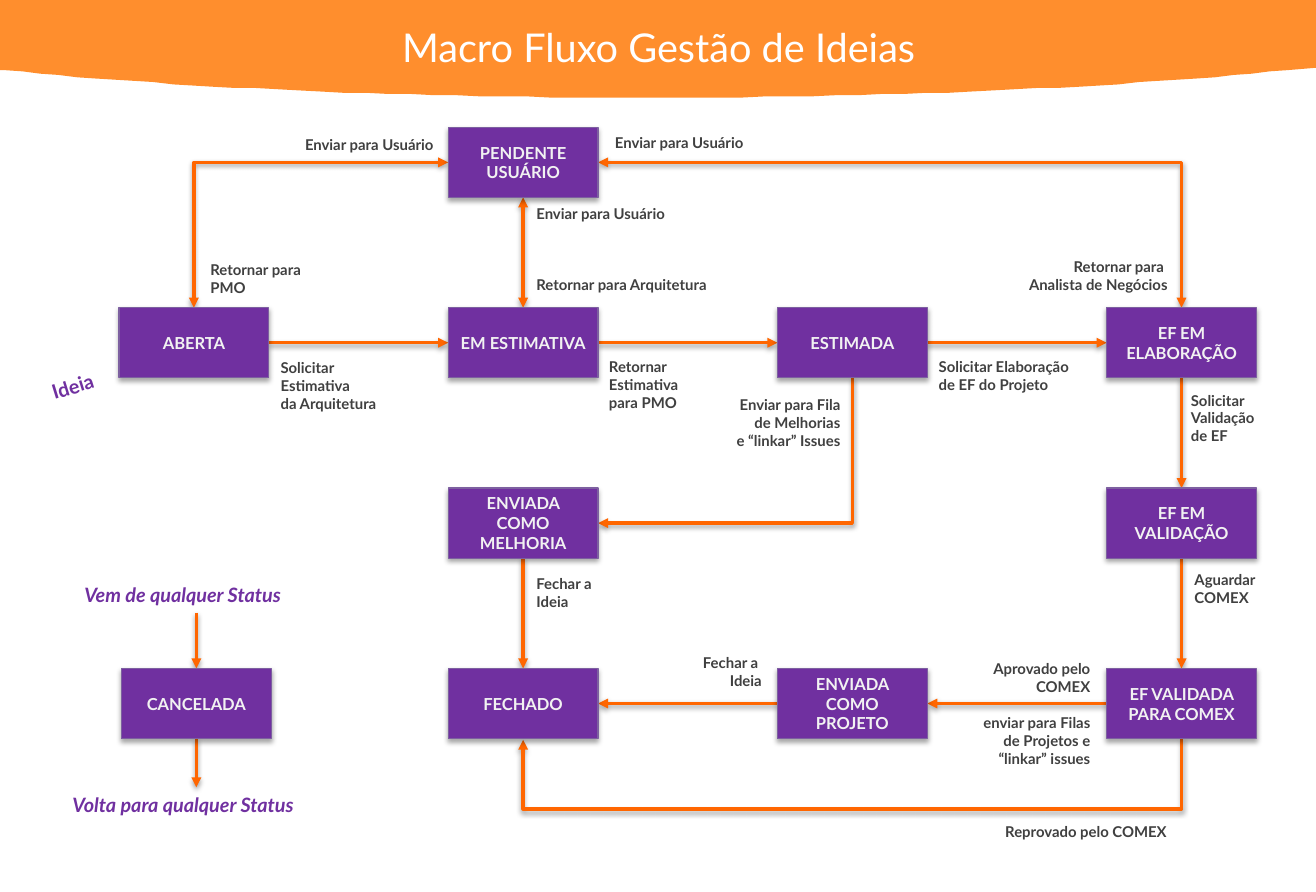
from lxml.etree import SubElement
from pptx import Presentation
from pptx.dml.color import RGBColor
from pptx.enum.shapes import MSO_CONNECTOR, MSO_SHAPE
from pptx.enum.text import MSO_ANCHOR, PP_ALIGN
from pptx.oxml.ns import qn
from pptx.util import Pt

PX = 9144
HUES = {"banner": "FF8E2D", "arrow": "FF6600", "node": "7030A0", "edge": "7D60A0",
        "pale": "F2F2F2", "label": "404040", "white": "FFFFFF", "black": "000000"}
LEFT, MID, RIGHT = PP_ALIGN.LEFT, PP_ALIGN.CENTER, PP_ALIGN.RIGHT
NODE_W, NODE_H = 126, 59

NODES = {
    "PENDENTE USUÁRIO": (1, 0), "ABERTA": (0, 1), "EM ESTIMATIVA": (1, 1),
    "ESTIMADA": (2, 1), "EF EM ELABORAÇÃO": (3, 1), "ENVIADA COMO MELHORIA": (1, 2),
    "EF EM VALIDAÇÃO": (3, 2), "FECHADO": (1, 3), "ENVIADA COMO PROJETO": (2, 3),
    "EF VALIDADA PARA COMEX": (3, 3),
}
LINKS = [
    ("ABERTA", "right", "EM ESTIMATIVA", "left", "tail"),
    ("EM ESTIMATIVA", "right", "ESTIMADA", "left", "tail"),
    ("ESTIMADA", "right", "EF EM ELABORAÇÃO", "left", "tail"),
    ("EM ESTIMATIVA", "top", "PENDENTE USUÁRIO", "bottom", "head tail"),
    ("EF EM ELABORAÇÃO", "bottom", "EF EM VALIDAÇÃO", "top", "tail"),
    ("EF EM VALIDAÇÃO", "bottom", "EF VALIDADA PARA COMEX", "top", "tail"),
    ("EF VALIDADA PARA COMEX", "left", "ENVIADA COMO PROJETO", "right", "tail"),
    ("ENVIADA COMO PROJETO", "left", "FECHADO", "right", "tail"),
    ("ENVIADA COMO MELHORIA", "bottom", "FECHADO", "top", "tail"),
]
BENDS = [
    ("PENDENTE USUÁRIO", "left", "ABERTA", "top", "head tail"),
    ("PENDENTE USUÁRIO", "right", "EF EM ELABORAÇÃO", "top", "head tail"),
    ("ENVIADA COMO MELHORIA", "right", "ESTIMADA", "bottom", "head"),
]
LABELS = [
    ("Solicitar\nEstimativa\nda Arquitetura", 126, 190, 120, 3, LEFT),
    ("Retornar\nEstimativa\npara PMO", 402, 189, 90, 3, LEFT),
    ("Solicitar Elaboração\nde EF do Projeto", 679, 189, 145, 2, LEFT),
    ("Solicitar Validação\nde EF", 891, 217, 88, 3, LEFT),
    ("Aguardar COMEX", 894, 368, 88, 2, LEFT),
    ("Aprovado pelo COMEX", 704, 443, 122, 2, RIGHT),
    ("enviar para Filas de Projetos e “linkar” issues", 704, 488, 122, 3, RIGHT),
    ("Reprovado pelo COMEX", 735, 580, 210, 1, LEFT),
    ("Enviar para Fila de Melhorias\ne “linkar” Issues", 509, 221, 107, 3, RIGHT),
    ("Fechar a\nIdeia", 341, 371, 142, 2, LEFT),
    ("Fechar a \nIdeia", 408, 438, 142, 2, RIGHT),
    ("Enviar para Usuário", 341, 60, 160, 1, LEFT),
    ("Retornar para Arquitetura", 341, 120, 180, 1, LEFT),
    ("Enviar para Usuário", 407, 0, 160, 1, LEFT),
    ("Retornar para \nAnalista de Negócios", 731, 105, 160, 2, RIGHT),
    ("Enviar para Usuário", 124, 2, 150, 1, RIGHT),
    ("Retornar para\nPMO", 67, 107, 110, 2, LEFT),
]


def tint(name):
    """Return the named colour."""
    return RGBColor.from_string(HUES[name])


def emu(*sizes):
    """Turn px lengths into whole EMU."""
    return [round(size * PX) for size in sizes]


def shade(shape, alpha, drop):
    """Give a shape or connector a soft shadow below it."""
    glow = SubElement(shape._element.spPr, qn("a:effectLst"))
    cast = SubElement(glow, qn("a:outerShdw"), blurRad="40000", dist=str(drop),
                      dir="5400000", rotWithShape="0")
    hue = SubElement(cast, qn("a:srgbClr"), val=HUES["black"])
    SubElement(hue, qn("a:alpha"), val=str(alpha * 1000))


def write(shape, text, size, hue, align=LEFT, bold=True, slant=False):
    """Fill a shape with wrapped, formatted text."""
    frame = shape.text_frame
    frame.word_wrap = True
    frame.text = text
    for para in frame.paragraphs:
        para.alignment = align
        for run in para.runs:
            font = run.font
            font.name, font.size = "Lato", Pt(size)
            font.bold, font.italic = bold, slant
            font.color.rgb = tint(hue)


def label(slide, box, text, size, hue, **style):
    """Place a text box."""
    shape = slide.shapes.add_textbox(*emu(*box))
    write(shape, text, size, hue, **style)
    return shape


def node(slide, x, y, text):
    """Draw one status box."""
    shape = slide.shapes.add_shape(MSO_SHAPE.FLOWCHART_PROCESS, *emu(x, y, NODE_W, NODE_H))
    shape.fill.solid()
    shape.fill.fore_color.rgb = tint("node")
    shape.line.color.rgb = tint("edge")
    shape.line.width = Pt(0.75)
    shade(shape, 35, 23000)
    shape.text_frame.vertical_anchor = MSO_ANCHOR.MIDDLE
    write(shape, text, 10, "pale", align=MID)


def arrow(slide, start, end, ends="tail", kind=MSO_CONNECTOR.STRAIGHT):
    """Draw an arrow with heads at the named ends."""
    line = slide.shapes.add_connector(kind, *emu(*start, *end))
    line.line.color.rgb = tint("arrow")
    line.line.width = Pt(2)
    for tip in ends.split():
        SubElement(line.line._get_or_add_ln(), qn(f"a:{tip}End"), type="triangle")
    shade(line, 38, 20000)
    return line


def corner(slide, start, end, ends):
    """Draw an arrow that runs across, then up or down."""
    line = arrow(slide, start, end, ends, MSO_CONNECTOR.ELBOW)
    line._element.spPr.find(qn("a:prstGeom")).set("prst", "bentConnector2")


def loop(slide, start, end, depth):
    """Draw an arrow that dips below two boxes and comes back up."""
    thin = 2
    mid, half = (start[0] + end[0]) / 2, (start[0] - end[0]) / 2
    line = arrow(slide, (mid - thin / 2, start[1] - half), (mid + thin / 2, start[1] + half),
                 kind=MSO_CONNECTOR.ELBOW)
    props = line._element.spPr
    props.find(qn("a:xfrm")).set("rot", "5400000")
    geom = props.find(qn("a:prstGeom"))
    guides = geom.find(qn("a:avLst"))
    if guides is None:
        guides = SubElement(geom, qn("a:avLst"))
    SubElement(guides, qn("a:gd"), name="adj1", fmla=f"val {depth * 100000 // thin}")


def curve(a, b, c, d, steps=30):
    """Return points along a cubic curve after its start."""
    spots = []
    for step in range(1, steps + 1):
        t = step / steps
        u = 1 - t
        spots.append(tuple(u**3 * p + 3 * u * u * t * q + 3 * u * t * t * r + t**3 * s
                           for p, q, r, s in zip(a, b, c, d)))
    return spots


def banner(slide, box):
    """Draw the curved title band."""
    x, y, w, h = box
    spots = [(w, 0), (w, 57), (1082, 59)]
    spots += curve((1082, 59), (936, 74), (748, h), (543, h))
    spots += curve((543, h), (338, h), (150, 74), (4, 59))
    spots.append((0, 59))
    pen = slide.shapes.build_freeform(x, y, scale=PX)
    pen.add_line_segments([(x + p, y + q) for p, q in spots], close=True)
    band = pen.convert_to_shape()
    band.shadow.inherit = False
    band.fill.solid()
    band.fill.fore_color.rgb = tint("banner")
    band.line.fill.background()
    label(slide, (x + 255, y + 14, 597, 50), "Macro Fluxo Gestão de Ideias", 24, "white",
          align=MID, bold=False)


def flow(slide, box):
    """Draw the main grid of statuses, arrows and labels."""
    x, y, w, h = box
    spots = {name: (x + col * (w - NODE_W) / 3, y + row * (h - NODE_H) / 3)
             for name, (col, row) in NODES.items()}
    sides = {"left": (0, 0.5), "right": (1, 0.5), "top": (0.5, 0), "bottom": (0.5, 1)}

    def port(name, side):
        """Return the middle of one side of a status box."""
        return tuple(at + size * part for at, size, part
                     in zip(spots[name], (NODE_W, NODE_H), sides[side]))

    for draw, links in ((arrow, LINKS), (corner, BENDS)):
        for first, out, last, into, ends in links:
            draw(slide, port(first, out), port(last, into), ends)
    loop(slide, port("EF VALIDADA PARA COMEX", "bottom"), port("FECHADO", "bottom"), 60)
    for name, spot in spots.items():
        node(slide, *spot, name)
    for text, left, top, wide, rows, align in LABELS:
        label(slide, (x + left, y + top, wide, 10 + 15 * rows), text, 9, "label", align=align)
    idea = label(slide, (x - 67, y + 200, 74, 30), "Ideia", 12, "node")
    idea.rotation = -17.2


def cancel(slide, box):
    """Draw the cancelled status with its way in and out."""
    x, y, w, h = box
    mid, top = x + 114, y + 77
    arrow(slide, (mid, y + 30), (mid, top))
    arrow(slide, (mid, top + NODE_H), (mid, y + h - 30))
    node(slide, x + 51, top, "CANCELADA")
    for left, high, text in ((x + 10, y, "Vem de qualquer Status"),
                             (x, y + h - 30, "Volta para qualquer Status")):
        label(slide, (left, high, w, 30), text, 12, "node", slant=True)


def main():
    """Build and save the slide."""
    deck = Presentation()
    deck.slide_width, deck.slide_height = emu(1106, 750)
    slide = deck.slides.add_slide(deck.slide_layouts[6])
    banner(slide, (0, 0, 1106, 82))
    flow(slide, (100, 107, 956, 514))
    cancel(slide, (51, 485, 229, 207))
    deck.save("out.pptx")


if __name__ == "__main__":
    main()
